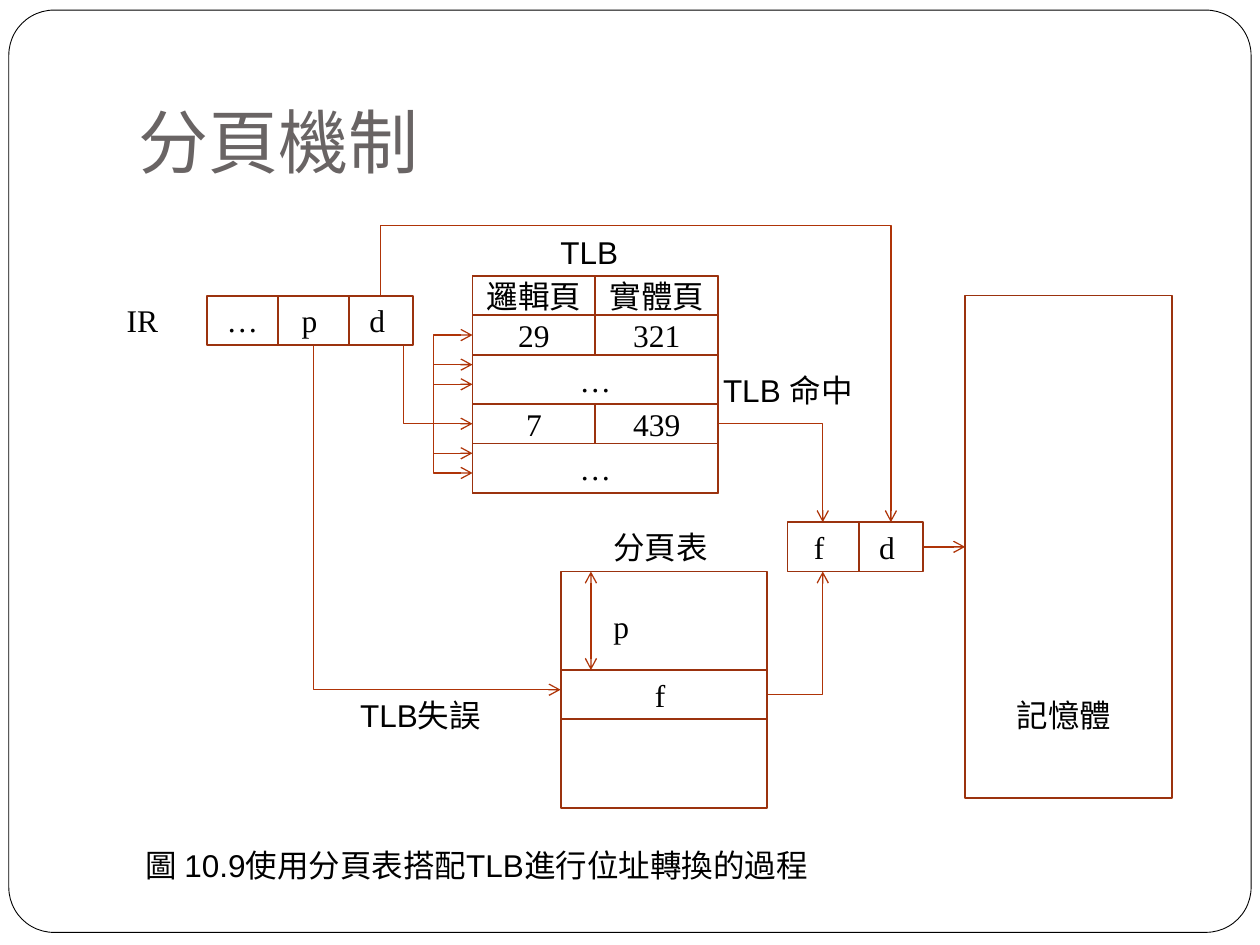
from typing import NamedTuple

from lxml.etree import SubElement
from pptx import Presentation
from pptx.dml.color import RGBColor
from pptx.enum.shapes import MSO_CONNECTOR as Link, MSO_SHAPE as Shape
from pptx.enum.text import MSO_ANCHOR as Anchor, MSO_AUTO_SIZE as Fit, PP_ALIGN as Align
from pptx.oxml.ns import qn
from pptx.util import Inches, Pt

SERIF, SANS, HEADING = "Times New Roman", "Arial", "Lato"
BORDER, ARROW, INK, PAPER, GREY = "9B320E", "AF3408", "000000", "FFFFFF", "696464"
SLIDE_W, SLIDE_H = 10, 7.5
COLUMN = SLIDE_W / 100               # columns are hundredths of the slide width
ROW, FIRST_ROW = 0.0782, 2.19        # rows count from the top of the TLB


class Cell(NamedTuple):
    col: float
    row: float
    cols: float
    rows: float
    text: str = ""
    border: bool = True


class Label(NamedTuple):
    col: float
    row: float
    cols: float
    text: str
    font: str = SANS
    wrap: bool = False


class Route(NamedTuple):
    start: tuple
    end: tuple
    kind: str = "line"
    upright: bool = False            # leaves its start vertically
    bend: float = 0.5
    both_ends: bool = False


def x(col: float) -> int:
    return Inches(col * COLUMN)


def y(row: float) -> int:
    return Inches(FIRST_ROW + row * ROW)


def color(code: str) -> RGBColor:
    return RGBColor.from_string(code)


def write(frame, text: str, font: str, size: float = 18, ink: str = INK, align=Align.LEFT) -> None:
    paragraph = frame.paragraphs[0]
    paragraph.alignment = align
    run = paragraph.add_run()
    run.text = text
    run.font.name, run.font.size = font, Pt(size)
    run.font.color.rgb = color(ink)


def draw_cell(shapes, cell: Cell) -> None:
    box = shapes.add_shape(Shape.RECTANGLE, x(cell.col), y(cell.row),
                           x(cell.cols), Inches(cell.rows * ROW))
    box.shadow.inherit = False
    box.fill.background()
    if cell.border:
        box.line.color.rgb, box.line.width = color(BORDER), Pt(1)
    else:
        box.line.fill.background()
    if cell.text:
        box.text_frame.vertical_anchor = Anchor.MIDDLE
        write(box.text_frame, cell.text, SERIF, align=Align.CENTER)


def draw_label(shapes, label: Label) -> None:
    box = shapes.add_textbox(x(label.col), y(label.row), x(label.cols), Inches(0.4))
    box.text_frame.word_wrap = label.wrap
    box.text_frame.auto_size = Fit.SHAPE_TO_FIT_TEXT
    write(box.text_frame, label.text, label.font)


def draw_route(shapes, route: Route) -> None:
    x1, y1, x2, y2 = x(route.start[0]), y(route.start[1]), x(route.end[0]), y(route.end[1])
    if route.upright:                # the ends as they lie before a 270 degree turn
        mid_x, mid_y, dx, dy = (x1 + x2) / 2, (y1 + y2) / 2, x2 - x1, y2 - y1
        x1, x2 = int(mid_x + dy / 2), int(mid_x - dy / 2)
        y1, y2 = int(mid_y - dx / 2), int(mid_y + dx / 2)
    arrow = shapes.add_connector(Link.STRAIGHT, x1, y1, x2, y2)
    arrow.line.color.rgb, arrow.line.width = color(ARROW), Pt(0.75)
    props = arrow._element.spPr
    if route.upright:
        props.find(qn("a:xfrm")).set("rot", "16200000")
    geometry = props.find(qn("a:prstGeom"))
    geometry.set("prst", route.kind)
    if route.kind == "bentConnector3":
        SubElement(geometry.find(qn("a:avLst")), qn("a:gd"), name="adj1",
                   fmla=f"val {round(route.bend * 100000)}")
    line = props.find(qn("a:ln"))
    if route.both_ends:
        SubElement(line, qn("a:headEnd"), type="arrow")
    SubElement(line, qn("a:tailEnd"), type="arrow")
    SubElement(props, qn("a:effectLst"))


ELBOW, STEP = "bentConnector2", "bentConnector3"
TLB, HALF, BUS = 37.5, 9.75, 34.4
ADDRESS, FIELD, LAST = 16.4, 5.65, 5.1
PAGE_TABLE, BLOCK = 44.5, 16.4
FRAME_NO, MEMORY = 62.5, 76.6
FRAME_MID = 65.3

CELLS = [
    # Instruction register
    Cell(7, 2, 8.6, 5, "IR", False),
    Cell(ADDRESS, 2, FIELD, 5, "…"),
    Cell(ADDRESS + FIELD, 2, FIELD, 5, "p "),
    Cell(ADDRESS + 2 * FIELD, 2, LAST, 5, "d "),
    # TLB
    Cell(TLB, 0, 2 * HALF, 22),
    *[Cell(TLB + i * HALF, row, HALF, 4, text)
      for row, pair in [(0, ("邏輯頁", "實體頁")), (4, ("29", "321")), (13, ("7", "439"))]
      for i, text in enumerate(pair)],
    *[Cell(TLB, row, 2 * HALF, 5, "…") for row in (8, 17)],
    # Page table
    Cell(PAGE_TABLE, 30, BLOCK, 24),
    Cell(PAGE_TABLE, 40, BLOCK, 5, "f "),
    # Physical address and memory
    Cell(FRAME_NO, 25, FIELD, 5, "f "),
    Cell(FRAME_NO + FIELD, 25, LAST, 5, "d "),
    Cell(MEMORY, 2, BLOCK, 51),
]

LABELS = [
    Label(43.5, -5, 6.6, "TLB"),
    Label(56.4, 9, 12.9, "TLB 命中"),
    Label(27.6, 42, 12.2, "TLB失誤"),
    Label(47.7, 25, 9.5, "分頁表"),
    Label(47.7, 33, 3.2, "p", SERIF),
    Label(79.7, 42, 9.5, "記憶體"),
    Label(10.6, 57.2, 60.6, "圖 10.9使用分頁表搭配TLB進行位址轉換的過程", wrap=True),
]

ROUTES = [
    # Search of all TLB entries
    Route((26.6, 7), (TLB, 15), STEP),
    *[Route((BUS, 15), (TLB, row), ELBOW, upright=True) for row in (6, 20)],
    *[Route((BUS, row), (TLB, row)) for row in (9, 11, 18)],
    # TLB hit, TLB miss and offset within the page
    Route((TLB + 2 * HALF, 15), (FRAME_MID, 25), ELBOW),
    Route((24.9, 7), (PAGE_TABLE, 42), ELBOW, upright=True),
    Route((46.9, 30), (46.9, 40), both_ends=True),
    Route((PAGE_TABLE + BLOCK, 42.5), (FRAME_MID, 30), ELBOW),
    Route((30.2, 2), (70.7, 25), STEP, upright=True, bend=-0.31),
    Route((73.3, 27.5), (MEMORY, 27.5)),
]


def main() -> None:
    deck = Presentation()
    deck.slide_width, deck.slide_height = Inches(SLIDE_W), Inches(SLIDE_H)
    slide = deck.slides.add_slide(deck.slide_layouts[5])
    shapes = slide.shapes

    # Rounded page frame behind everything
    frame = shapes.add_shape(Shape.ROUNDED_RECTANGLE, Inches(0.07), Inches(0.08),
                             Inches(9.86), Inches(7.32))
    frame.adjustments[0] = 0.049
    frame.shadow.inherit = False
    frame.fill.solid()
    frame.fill.fore_color.rgb = color(PAPER)
    frame.line.color.rgb, frame.line.width = color(INK), Pt(0.5)
    shapes._spTree.insert(2, frame._element)

    # Title
    title = shapes.title
    title.left, title.top, title.width, title.height = map(Inches, (1, 0.3, 8.5, 1.25))
    title.text_frame.vertical_anchor = Anchor.BOTTOM
    title.text_frame.margin_bottom = Inches(0.1)
    write(title.text_frame, "分頁機制", HEADING, 40, GREY)

    # Diagram
    for route in ROUTES:
        draw_route(shapes, route)
    for cell in CELLS:
        draw_cell(shapes, cell)
    for label in LABELS:
        draw_label(shapes, label)
    deck.save("out.pptx")


if __name__ == "__main__":
    main()
